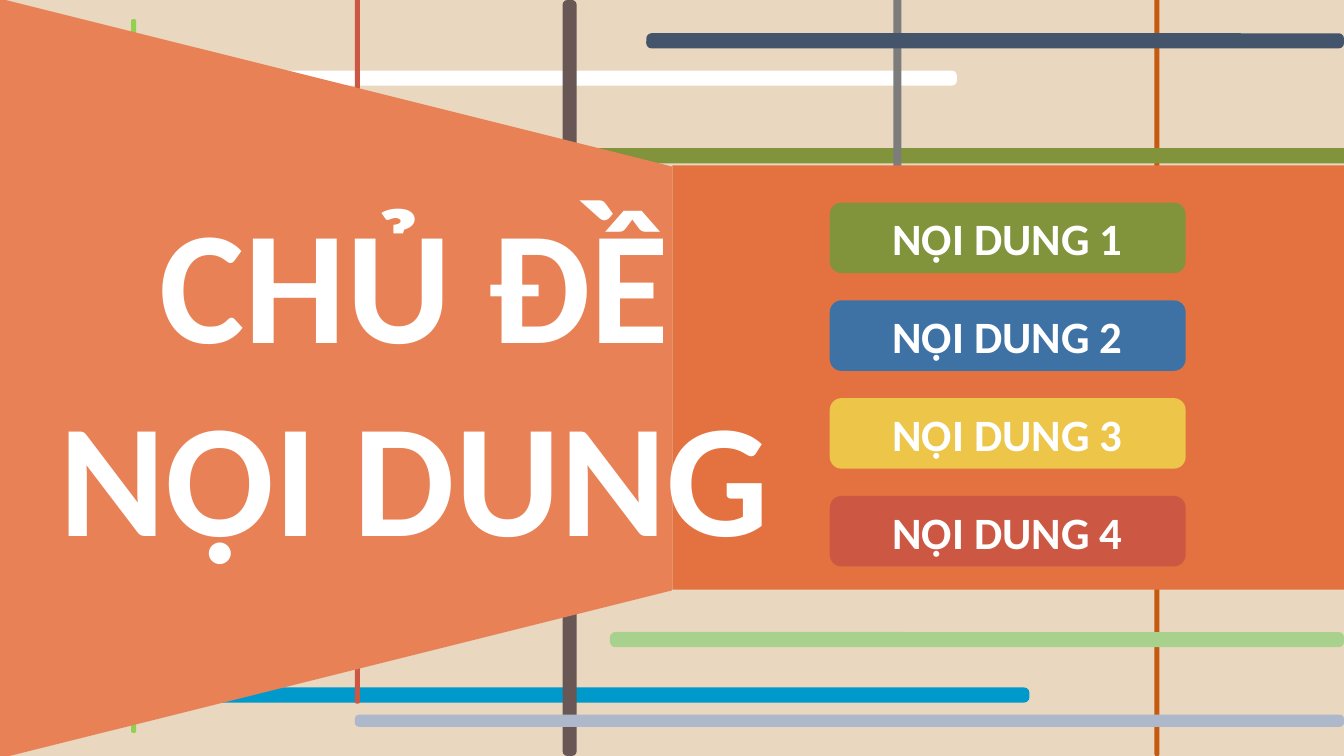
from pptx import Presentation
from pptx.dml.color import RGBColor
from pptx.enum.shapes import MSO_SHAPE
from pptx.enum.text import MSO_ANCHOR, PP_ALIGN
from pptx.util import Inches, Pt

RECTANGLE = MSO_SHAPE.RECTANGLE
ROUNDED = MSO_SHAPE.ROUNDED_RECTANGLE
TRAPEZOID = MSO_SHAPE.TRAPEZOID
CENTER = PP_ALIGN.CENTER
MIDDLE = MSO_ANCHOR.MIDDLE


def color(value):
    return RGBColor.from_string(value)


class TopicPage:
    """Holds the text style and the current slide and draws its elements."""

    font = "Calibri"
    text_color = "FFFFFF"

    def __init__(self, deck):
        self.page = deck.slides.add_slide(deck.slide_layouts[6])

    def shape(self, kind, left, top, width, height, fill, adjustment=None):
        box = self.page.shapes.add_shape(
            kind, Inches(left), Inches(top), Inches(width), Inches(height))
        box.shadow.inherit = False
        box.fill.solid()
        box.fill.fore_color.rgb = color(fill)
        box.line.fill.background()
        if adjustment is not None:
            box.adjustments[0] = adjustment
        return box

    def bar(self, left, top, width, height, fill):
        self.shape(ROUNDED, left, top, width, height, fill, 0.34)

    def label(self, frame, text, size):
        frame.word_wrap = True
        para = frame.paragraphs[0]
        para.alignment = CENTER
        span = para.add_run()
        span.text = text
        span.font.name = self.font
        span.font.size = Pt(size)
        span.font.bold = True
        span.font.color.rgb = color(self.text_color)

    def title(self, left, top, width, height, text):
        box = self.page.shapes.add_textbox(
            Inches(left), Inches(top), Inches(width), Inches(height))
        self.label(box.text_frame, text, 115)

    def button(self, left, top, width, height, fill, text):
        box = self.shape(ROUNDED, left, top, width, height, fill)
        box.text_frame.vertical_anchor = MIDDLE
        self.label(box.text_frame, text, 32)


BARS = [
    (1.3, 0.19, 0.05, 7.08, "92D050"),
    (0, 0.7, 9.49, 0.15, "FFFFFF"),
    (11.45, -0.04, 0.05, 7.54, "C55A11"),
    (0, 6.82, 10.21, 0.15, "0099CC"),
    (5.58, 0, 0.14, 7.5, "695755"),
    (2.53, 1.47, 10.86, 0.15, "81943B"),
    (3.52, -0.1, 0.05, 7.08, "CC5843"),
    (6.05, 6.27, 7.28, 0.15, "A9D18E"),
    (8.86, -0.1, 0.08, 4.61, "7C7C7C"),
    (6.41, 0.33, 6.92, 0.15, "44546A"),
    (3.52, 7.09, 9.81, 0.12, "ADB9CA"),
]
BUTTON_FILLS = ["81943B", "3E72A5", "ECC549", "CC5843"]


def main():
    deck = Presentation()
    deck.slide_width = Inches(13.33)
    deck.slide_height = Inches(7.5)
    topic = TopicPage(deck)

    topic.shape(RECTANGLE, 0, -0.04, 13.33, 7.54, "E9D7BF")
    for bar in BARS:
        topic.bar(*bar)

    topic.shape(RECTANGLE, 6.67, 1.64, 6.67, 4.21, "E47240")
    funnel = topic.shape(TRAPEZOID, -0.44, 0.42, 7.54, 6.67, "E88156", 0.25)
    funnel.rotation = 90
    topic.title(0.4, 1.76, 7.42, 3.97, "CHỦ ĐỀ NỘI DUNG")

    for index, fill in enumerate(BUTTON_FILLS):
        topic.button(8.23, 2.01 + 0.97 * index, 3.53, 0.7, fill,
                     f"NỘI DUNG {index + 1}")

    deck.save("out.pptx")


if __name__ == "__main__":
    main()
